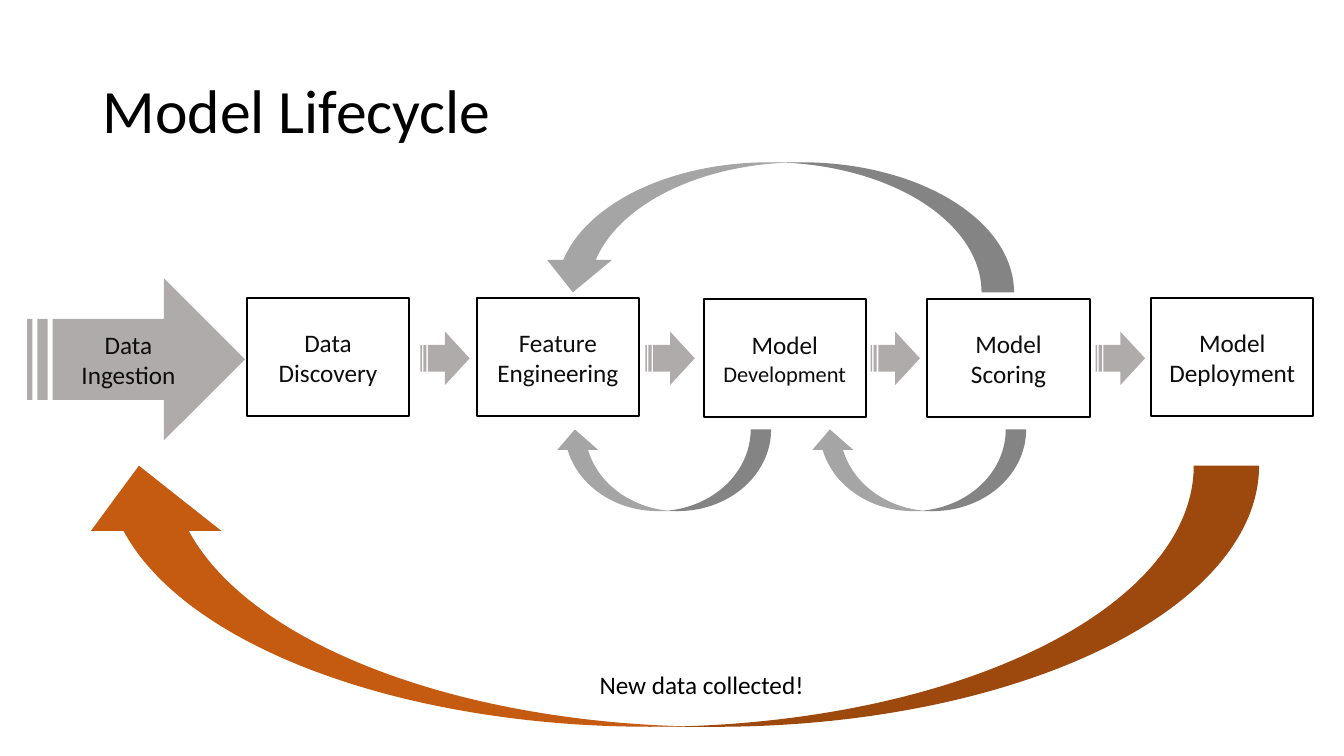
from dataclasses import dataclass

from pptx import Presentation
from pptx.dml.color import RGBColor
from pptx.enum.shapes import MSO_SHAPE
from pptx.enum.text import MSO_ANCHOR, PP_ALIGN
from pptx.util import Inches, Pt

RECT = MSO_SHAPE.RECTANGLE
STRIPED = MSO_SHAPE.STRIPED_RIGHT_ARROW
CURVED_DOWN = MSO_SHAPE.CURVED_DOWN_ARROW
CURVED_UP = MSO_SHAPE.CURVED_UP_ARROW
MIDDLE = MSO_ANCHOR.MIDDLE
CENTER, LEFT = PP_ALIGN.CENTER, PP_ALIGN.LEFT

# Grid: 40 columns by 30 rows
WIDTH, HEIGHT = Inches(13.33), Inches(7.5)
COL, ROW = WIDTH / 40, HEIGHT / 30


@dataclass(frozen=True)
class Theme:
    font: str = "Calibri"
    black: str = "000000"
    label: str = "0D0D0D"
    step: str = "AFABAB"
    loop: str = "A5A5A5"
    feedback: str = "C55A11"
    title_size: int = 44
    body_size: int = 18
    small_size: int = 16
    outline: float = 1.5


@dataclass(frozen=True)
class Cell:
    """A place on the grid, in columns and rows."""
    col: float
    row: float
    cols: float
    rows: float

    def emu(self) -> tuple[int, ...]:
        return (round(self.col * COL), round(self.row * ROW),
                round(self.cols * COL), round(self.rows * ROW))


@dataclass(frozen=True)
class Stage:
    first: str
    second: str
    col: float
    row: float = 11.84
    second_size: int = Theme.body_size


@dataclass(frozen=True)
class Loop:
    kind: MSO_SHAPE
    cell: Cell
    color: str
    flip: bool = False


T = Theme()

STAGES = [
    Stage("Data ", "Discovery", 7.35),
    Stage("Feature ", "Engineering", 14.19),
    Stage("Model ", "Development", 20.94, 11.88, T.small_size),
    Stage("Model ", "Scoring", 27.6, 11.88),
    Stage("Model ", "Deployment", 34.26),
]
STEP_START, STEP_PITCH = 12.51, 6.7

LOOPS = [
    Loop(CURVED_DOWN, Cell(16.5, 17.04, 6.45, 3.24), T.loop),
    Loop(CURVED_DOWN, Cell(24.09, 17.04, 6.45, 3.24), T.loop),
    Loop(CURVED_UP, Cell(16.08, 6.44, 14.1, 5.16), T.loop),
    Loop(CURVED_UP, Cell(2.19, 18.48, 35.28, 10.36), T.feedback, flip=True),
]


def style_run(r, size: int, color: str) -> None:
    r.font.name = T.font
    r.font.size = Pt(size)
    r.font.color.rgb = RGBColor.from_string(color)


def add_shape(s, kind: MSO_SHAPE, cell: Cell, fill: str = ""):
    """Add a filled shape, or an outlined one when no fill is given."""
    sp = s.shapes.add_shape(kind, *cell.emu())
    sp.shadow.inherit = False
    if fill:
        sp.fill.solid()
        sp.fill.fore_color.rgb = RGBColor.from_string(fill)
        sp.line.fill.background()
    else:
        sp.fill.background()
        sp.line.color.rgb = RGBColor.from_string(T.black)
        sp.line.width = Pt(T.outline)
    return sp


def write(sp, text: str, size: int, color: str, align: PP_ALIGN = CENTER):
    tf = sp.text_frame
    tf.text = text
    tf.vertical_anchor = MIDDLE
    p = tf.paragraphs[0]
    p.alignment = align
    style_run(p.runs[0], size, color)
    return p


def add_text(s, cell: Cell, text: str, size: int, wrap: bool):
    sp = s.shapes.add_textbox(*cell.emu())
    sp.text_frame.word_wrap = wrap
    return write(sp, text, size, T.black, LEFT)


def add_stage(s, stage: Stage) -> None:
    sp = add_shape(s, RECT, Cell(stage.col, stage.row, 4.83, 4.68))
    p = write(sp, stage.first, T.body_size, T.label)
    r = p.add_run()
    r.text = stage.second
    style_run(r, stage.second_size, T.label)


def add_loop(s, loop: Loop) -> None:
    sp = add_shape(s, loop.kind, loop.cell, loop.color)
    sp.rotation = 180
    if loop.flip:
        sp._element.spPr.xfrm.set("flipV", "1")


def main() -> None:
    prs = Presentation()
    prs.slide_width, prs.slide_height = WIDTH, HEIGHT
    s = prs.slides.add_slide(prs.slide_layouts[6])

    # Title
    p = add_text(s, Cell(2.76, 1.6, 34.5, 5.8), "Model Lifecycle", T.title_size, True)
    p.line_spacing = 0.9

    # Stages
    for stage in STAGES:
        add_stage(s, stage)

    # Ingestion arrow and the steps between stages
    sp = add_shape(s, STRIPED, Cell(0.81, 11.04, 6.48, 6.44), T.step)
    write(sp, "Data Ingestion", T.body_size, T.label)
    for i in range(len(STAGES) - 1):
        add_shape(s, STRIPED, Cell(STEP_START + i * STEP_PITCH, 13.16, 1.47, 2.12), T.step)

    # Feedback loops
    for loop in LOOPS:
        add_loop(s, loop)
    add_text(s, Cell(17.55, 26.36, 6.75, 1.6), "New data collected!", T.body_size, False)

    prs.save("out.pptx")


if __name__ == "__main__":
    main()
